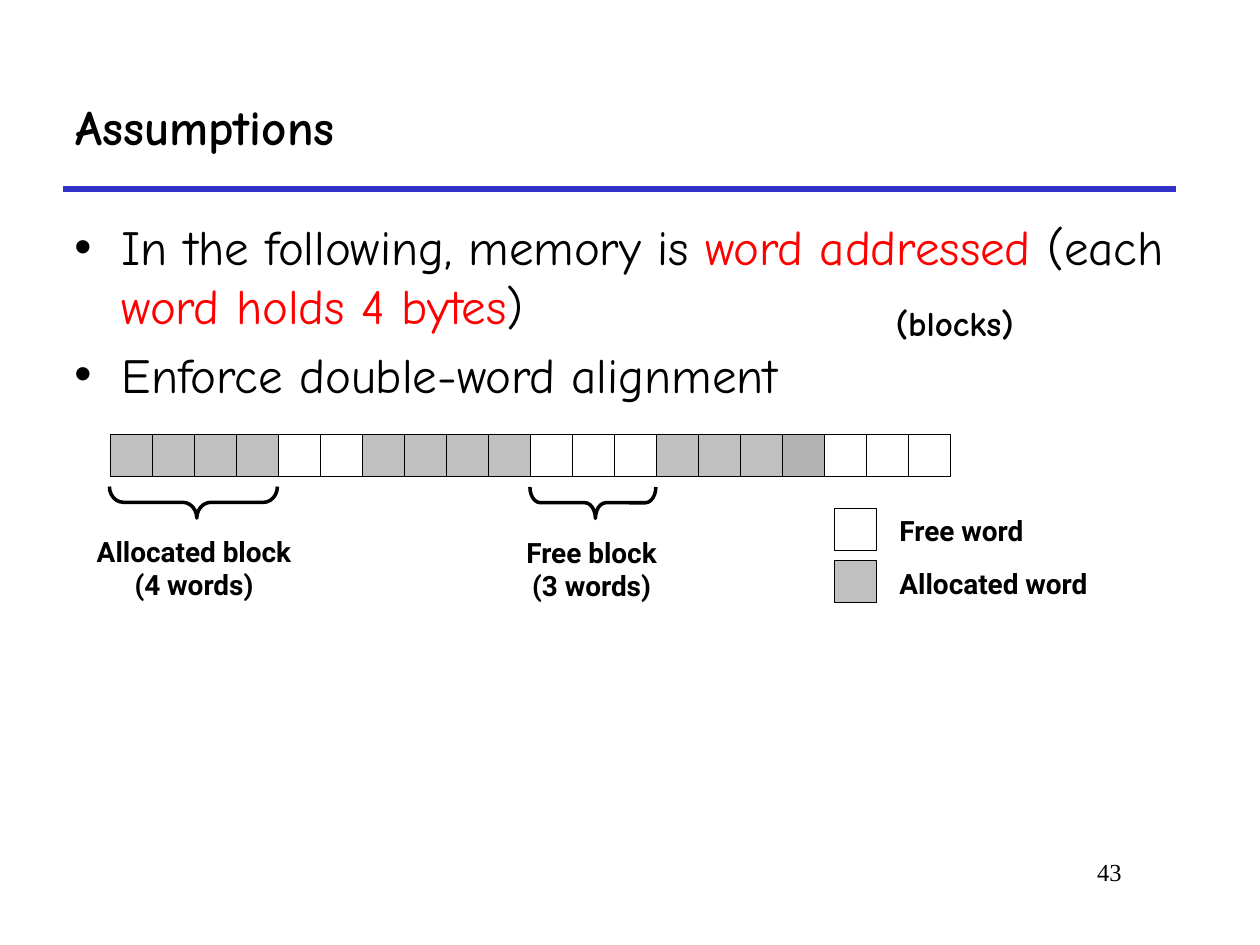
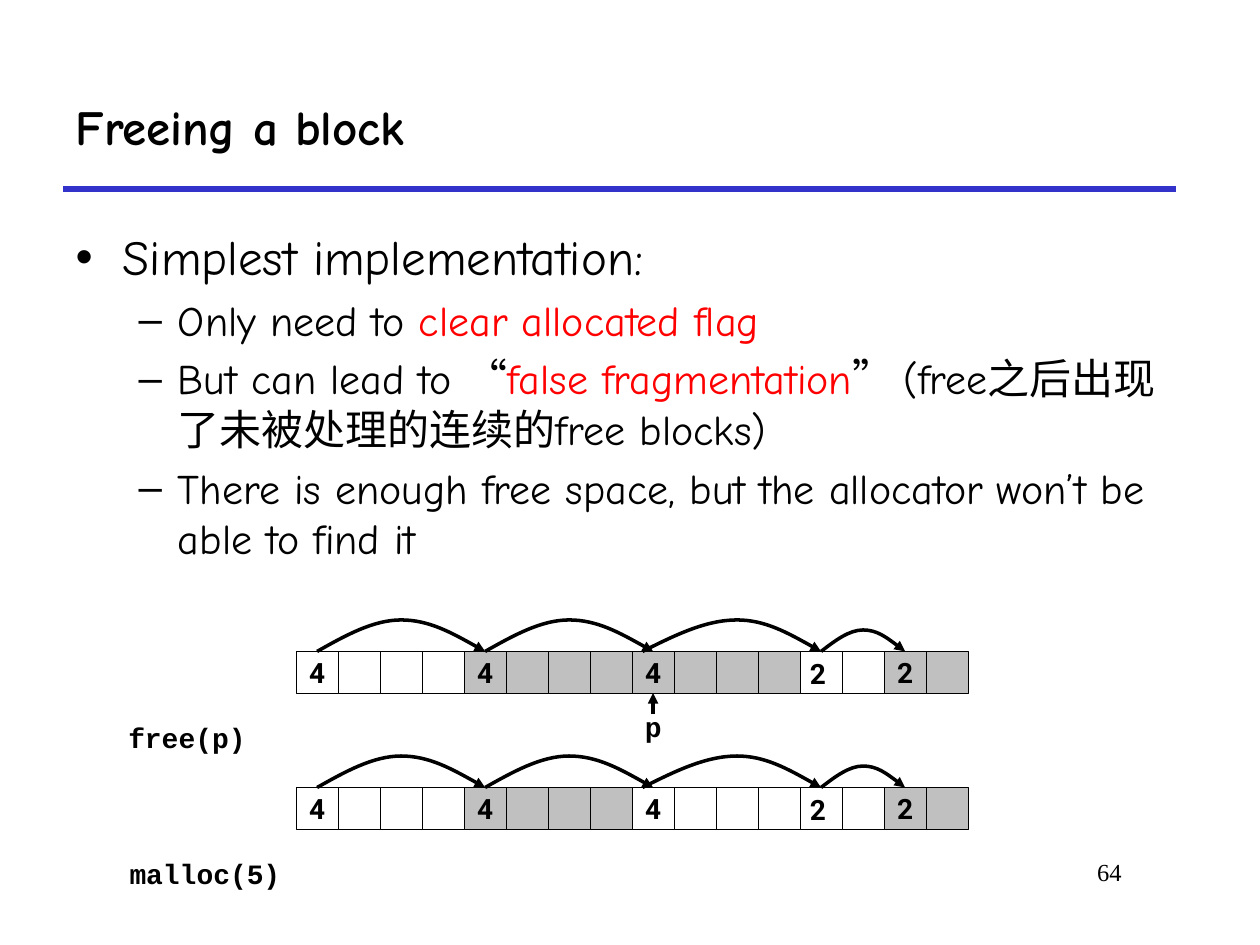
from lxml import etree
from pptx import Presentation
from pptx import util as u
from pptx.dml.color import RGBColor
from pptx.enum import lang, shapes, text
from pptx.oxml.ns import qn

HUE = {"ink": "000000", "red": "FF0000", "rule": "3333CC",
       "a": "C0C0C0", "b": "B3B3B3", "f": "FFFFFF"}
RGB = {name: RGBColor.from_string(code) for name, code in HUE.items()}
HAND, SANS, CODE, SERIF = "Comic Neue", "Roboto", "Courier New", "Times New Roman"
LEFT, MID, RIGHT = text.PP_ALIGN.LEFT, text.PP_ALIGN.CENTER, text.PP_ALIGN.RIGHT
STEP = 1 / 3  # side of one memory word
HEAP = 2.35  # left edge of the rows on the second slide


def write(frame, words, face, size, bold=True, align=LEFT):
    """Fill a text frame and format all its runs."""
    frame.text = words
    for para in frame.paragraphs:
        para.alignment = align
        for run in para.runs:
            run.font.name, run.font.size, run.font.bold = face, u.Pt(size), bold
            run.font.color.rgb = RGB["ink"]


def stroke(shape, hue="ink", width=2.0, arrow=False):
    """Draw the outline of a shape or line, without shadow."""
    shape.line.color.rgb = RGB[hue]
    shape.line.width = u.Pt(width)
    props = shape.element.spPr
    if arrow:
        etree.SubElement(props.find(qn("a:ln")), qn("a:tailEnd"), type="triangle")
    etree.SubElement(props, qn("a:effectLst"))


deck = Presentation()
deck.slide_width, deck.slide_height = u.Inches(10), u.Inches(7.5)

# Each page: title, number, body place, list items as (level, runs)
pages = [
    ("Assumptions", "43", (0.49, 1.67, 9.03, 5.33), [
        (0, [("In the following, memory is ", "ink"), ("word addressed", "red"),
             (" (each ", "ink"), ("word holds 4 bytes", "red"), (")", "ink")]),
        (0, [("Enforce double-word alignment", "ink")])]),
    ("Freeing a block", "64", (0.5, 1.75, 8.83, 2.5), [
        (0, [("Simplest implementation:", "ink")]),
        (1, [("Only need to ", "ink"), ("clear allocated flag", "red")]),
        (1, [("But can lead to ", "ink"), ("“", "ink"), ("false fragmentation", "red"),
             ("”", "ink"), (" (free之后出现了未被处理的连续的free blocks)", "ink")]),
        (1, [("There is enough free space, but the allocator won’t be able to find it",
              "ink")])]),
]

# Title, list and page number
for title, number, place, items in pages:
    slide = deck.slides.add_slide(deck.slide_layouts[1])
    head, body = slide.placeholders
    head.left, head.top, head.width, head.height = map(u.Inches, (0.5, 0.5, 8.83, 1))
    write(head.text_frame, title, HAND, 28)
    head.text_frame.vertical_anchor = text.MSO_ANCHOR.MIDDLE
    head.text_frame.auto_size = text.MSO_AUTO_SIZE.NONE

    body.left, body.top, body.width, body.height = map(u.Inches, place)
    frame = body.text_frame
    frame.auto_size = text.MSO_AUTO_SIZE.NONE
    for i, (level, parts) in enumerate(items):
        para = frame.add_paragraph() if i else frame.paragraphs[0]
        para.level = level
        if not i:
            para.space_before = u.Pt(0)
        for words, hue in parts:
            run = para.add_run()
            run.text = words
            run.font.name, run.font.size = HAND, u.Pt(24 if level else 28)
            run.font.color.rgb = RGB[hue]
            if words in "“”":
                run.font.language_id = lang.MSO_LANGUAGE_ID.SIMPLIFIED_CHINESE

    foot = slide.shapes.add_textbox(*map(u.Inches, (7.58, 6.75, 1.42, 0.5)))
    foot.text_frame.word_wrap = True
    write(foot.text_frame, number, SERIF, 14, False, RIGHT)

first, second = deck.slides

# Rule under the title, moved to the master that both slides share
rule = first.shapes.add_connector(
    shapes.MSO_CONNECTOR.STRAIGHT, *map(u.Inches, (0.5, 1.5, 9.33, 1.5)))
stroke(rule, "rule", 3)
deck.slide_master.shapes.element.append(rule.element)

# Memory words: slide, left, top, kinds (a, b = allocated, f = free), sizes
marks = {0: "4", 4: "4", 8: "4", 14: "2"}
rows = [
    (first, 7.54 - 20 * STEP, 3.45, "aaaaffaaaafffaaabfff", {}),
    (first, 6.62, 4.03, "f", {}),
    (first, 6.62, 4.45, "a", {}),
    (second, HEAP, 5.17, "ffffaaaaaaaaffaa", marks),
    (second, HEAP, 6.25, "ffffaaaaffffffaa", marks),
]
for slide, left, top, kinds, sizes in rows:
    for i, kind in enumerate(kinds):
        cell = slide.shapes.add_shape(
            shapes.MSO_SHAPE.RECTANGLE,
            *map(u.Inches, (left + i * STEP, top, STEP, STEP)))
        cell.fill.solid()
        cell.fill.fore_color.rgb = RGB[kind]
        stroke(cell, width=0.25)
        if i in sizes:
            cell.text_frame.word_wrap = False
            cell.text_frame.vertical_anchor = text.MSO_ANCHOR.MIDDLE
            write(cell.text_frame, sizes[i], SANS, 16, align=MID)

# Braces under the two sample blocks
for left, top, span, curl in [(1.41, 3.32, 4, 0.444), (4.58, 3.49, 3, 0.333)]:
    brace = first.shapes.add_shape(
        shapes.MSO_SHAPE.RIGHT_BRACE, *map(u.Inches, (left, top, 0.25, span * STEP)))
    brace.rotation = 90
    brace.adjustments[0], brace.adjustments[1] = curl, 0.48
    brace.fill.background()
    stroke(brace)

# Arcs from block to block: start, peak and end in words, height in inches
arcs = [(0.5, 2.5, 4.5, 0.25), (4.5, 6.5, 8.5, 0.25),
        (8.25, 10.5, 12.5, 0.25), (12.5, 13.5, 14.5, 0.17)]
for base in (5.17, 6.25):
    for start, peak, end, rise in arcs:
        up, down = (peak - start) / 3, (end - peak) / 3
        knots = [(start, 0), (start + up, 0.5), (peak - up, 1), (peak, 1),
                 (peak + down, 1), (end - down, 0.5), (end, 0)]
        dots = [(u.Inches(HEAP + x * STEP), u.Inches(base - y * rise))
                for x, y in knots]
        pen = second.shapes.build_freeform(*dots[0])
        pen.add_line_segments(dots[1:], close=False)
        arc = pen.convert_to_shape()
        # Turn each three segments into one smooth curve
        lines = list(arc.element.iter(qn("a:lnTo")))
        for i in (0, 3):
            curve = etree.Element(qn("a:cubicBezTo"))
            lines[i].addprevious(curve)
            for line in lines[i:i + 3]:
                curve.append(line[0])
                line.getparent().remove(line)
        arc.fill.background()
        stroke(arc, arrow=True)

# Pointer to the block being freed
spot = HEAP + 8.5 * STEP
arrow = second.shapes.add_connector(
    shapes.MSO_CONNECTOR.STRAIGHT, *map(u.Inches, (spot, 5.67, spot, 5.5)))
stroke(arrow, arrow=True)

# Labels
labels = [
    (first, (0.62, 4.19, 1.84, 0.64), "Allocated block\n(4 words)", SANS, 16, MID),
    (first, (4.04, 4.2, 1.31, 0.64), "Free block\n(3 words)", SANS, 16, MID),
    (first, (7.04, 4.03, 1.27, 0.37), "Free word", SANS, 16, LEFT),
    (first, (7.04, 4.45, 1.8, 0.37), "Allocated word", SANS, 16, LEFT),
    (first, (7.01, 2.34, 1.22, 0.44), "(blocks)", HAND, 20, LEFT),
    (second, (6.33, 5.16, 0.32, 0.37), "2", SANS, 16, LEFT),
    (second, (6.33, 6.24, 0.32, 0.37), "2", SANS, 16, LEFT),
    (second, (0.92, 5.67, 1.14, 0.37), "free(p)", CODE, 16, LEFT),
    (second, (5.02, 5.58, 0.34, 0.37), "p", CODE, 16, LEFT),
    (second, (0.93, 6.75, 1.4, 0.37), "malloc(5)", CODE, 16, LEFT),
]
for slide, place, words, face, size, align in labels:
    box = slide.shapes.add_textbox(*map(u.Inches, place))
    box.text_frame.word_wrap = False
    box.text_frame.auto_size = text.MSO_AUTO_SIZE.SHAPE_TO_FIT_TEXT
    write(box.text_frame, words, face, size, align=align)

deck.save("out.pptx")
